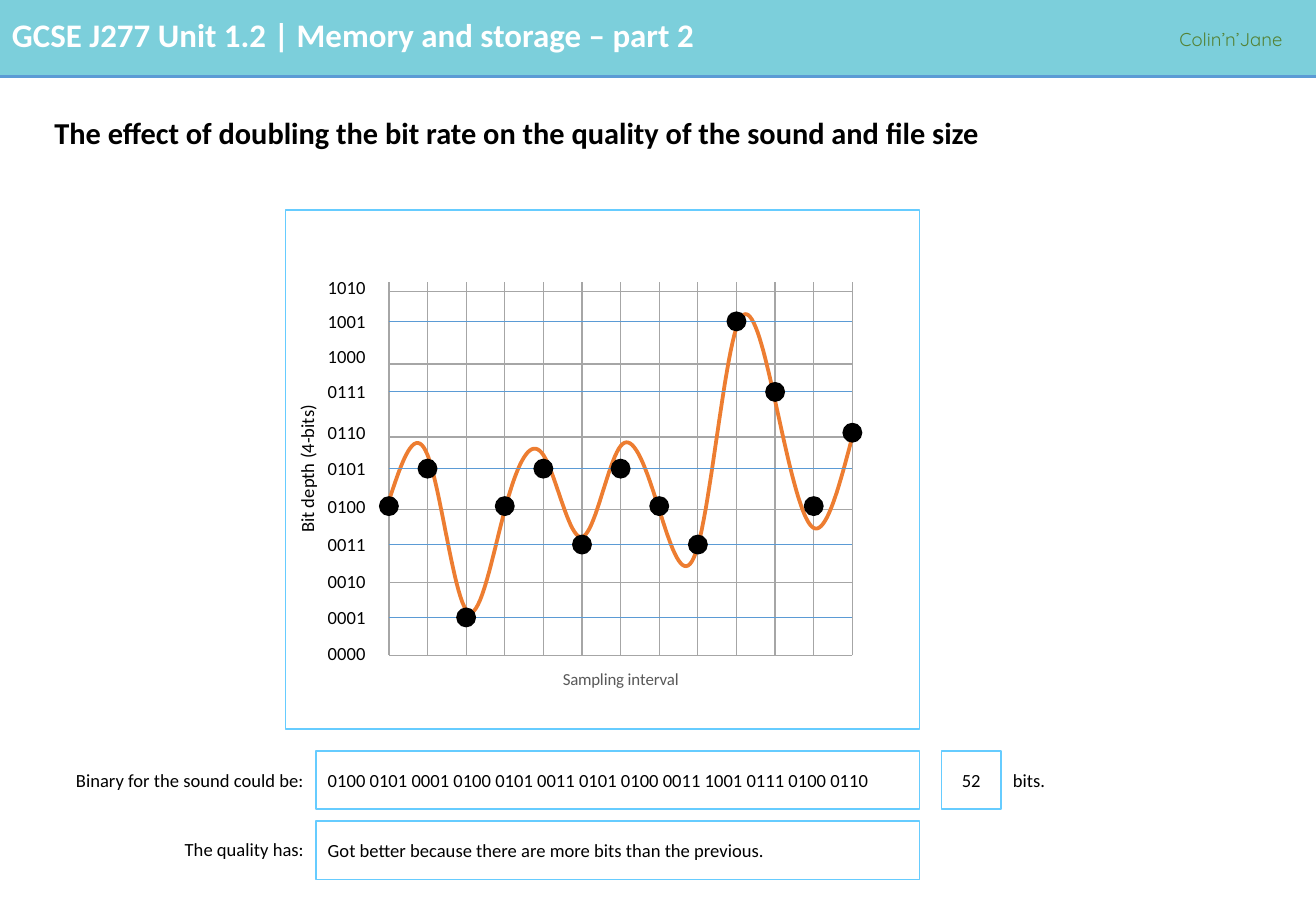
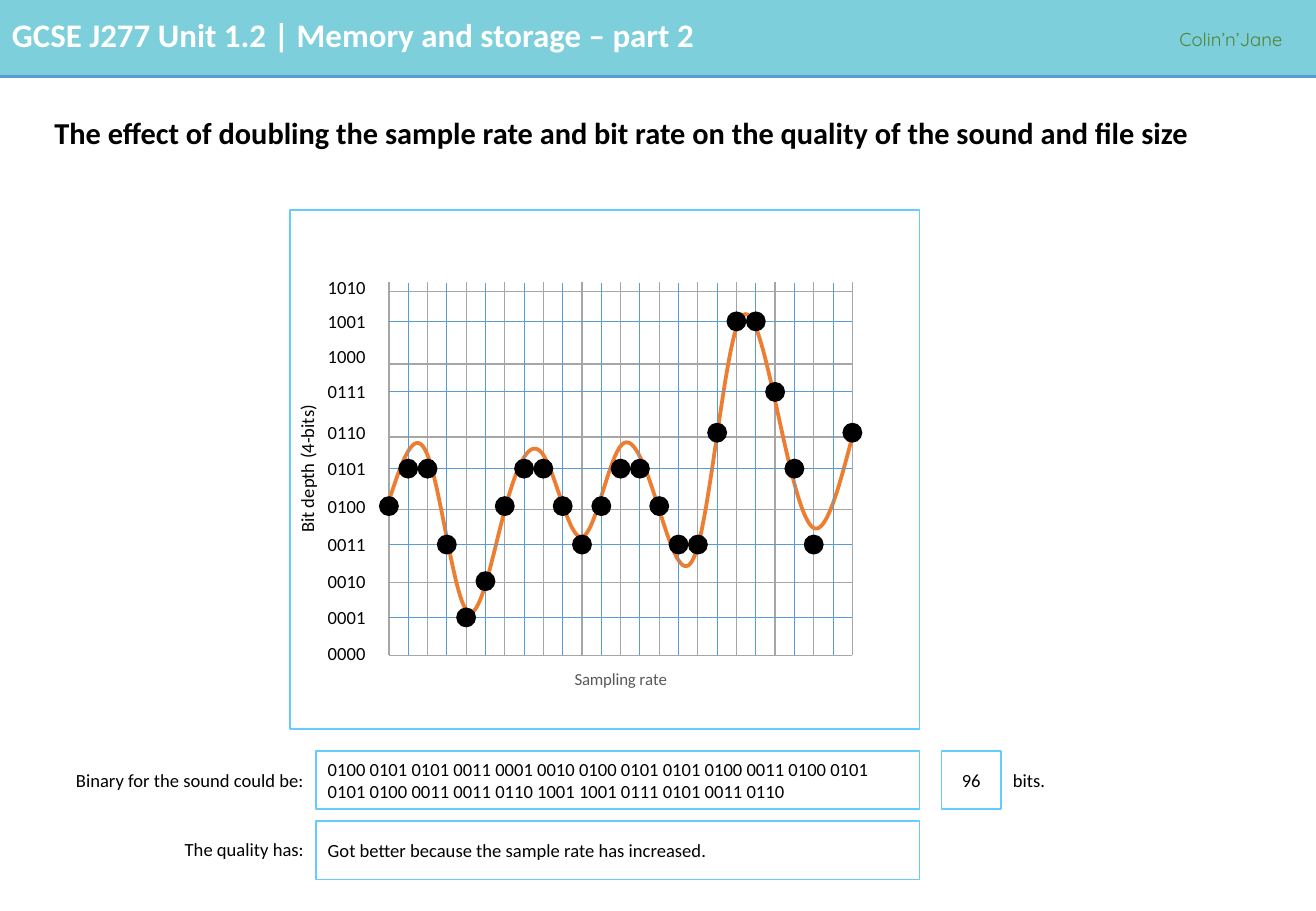
from lxml import etree
from pptx import Presentation
from pptx.chart.data import CategoryChartData
from pptx.dml.color import RGBColor
from pptx.enum import chart as charts, shapes, text
from pptx.oxml import parse_xml
from pptx.oxml.ns import nsdecls, qn
from pptx.util import Pt

COLOURS = {
    "band": "7CCFDB", "rule": "5B9BD5", "frame": "66CCFF", "wave": "ED7D31",
    "grid": "A6A6A6", "axis": "595959", "brand": "548235",
    "black": "000000", "white": "FFFFFF",
}
SLIDE_WIDTH, SLIDE_HEIGHT = 780, 540
PLOT_LEFT, PLOT_WIDTH = 230.5, 274.7
PLOT_TOP, PLOT_BOTTOM = 167.8, 388
# Height on the slide of each sound level, from 0000 up to 1010
LEVELS = [387.7, 366, 344.5, 322.8, 300, 277.8, 256.5, 232.3, 211.3, 190.5, 170.3]
WAVE = [81, 86, 69, 80, 86, 77, 87, 80, 76, 100, 92, 78, 88]
DOT = 10.8
ANSWER_LEFT, ANSWER_RIGHT = 187.2, 545

SOUNDS = [
    dict(
        heading="The effect of doubling the bit rate on the quality of the sound and file size",
        axis="Sampling interval", frame_left=169.2, columns=12, skipped=(),
        binary="0100 0101 0001 0100 0101 0011 0101 0100 0011 1001 0111 0100 0110",
        quality="Got better because there are more bits than the previous.",
    ),
    dict(
        heading="The effect of doubling the sample rate and bit rate on the quality "
                "of the sound and file size",
        axis="Sampling rate", frame_left=172, columns=24, skipped=(23,),
        binary="0100 0101 0101 0011 0001 0010 0100 0101 0101 0100 0011 0100 0101 "
               "0101 0100 0011 0011 0110 1001 1001 0111 0101 0011 0110",
        quality="Got better because the sample rate has increased.",
    ),
]


def rgb(colour):
    return RGBColor.from_string(COLOURS[colour])


def write(shape, words, size=11, colour="black", font="Calibri", bold=False,
          align="LEFT", anchor="TOP", wrap=True, spacing=None, after=None):
    frame = shape.text_frame
    frame.word_wrap = wrap
    frame.vertical_anchor = text.MSO_ANCHOR[anchor]
    paragraph = frame.paragraphs[0]
    paragraph.alignment = text.PP_ALIGN[align]
    if spacing:
        paragraph.line_spacing = spacing
    if after:
        paragraph.space_after = Pt(after)
    run = paragraph.add_run()
    run.text = words
    run.font.name, run.font.size, run.font.bold = font, Pt(size), bold
    run.font.color.rgb = rgb(colour)


def add_label(slide, words, left, top, width, height=20.9, **style):
    label = slide.shapes.add_textbox(Pt(left), Pt(top), Pt(width), Pt(height))
    write(label, words, **style)
    return label


def add_figure(slide, left, top, width, height, kind="RECTANGLE", fill=None, line=None):
    figure = slide.shapes.add_shape(
        shapes.MSO_SHAPE[kind], Pt(left), Pt(top), Pt(width), Pt(height))
    figure.shadow.inherit = False
    if fill:
        figure.fill.solid()
        figure.fill.fore_color.rgb = rgb(fill)
    else:
        figure.fill.background()
    if line:
        figure.line.color.rgb = rgb(line)
        figure.line.width = Pt(1)
    else:
        figure.line.fill.background()
    return figure


def add_rule(slide, x1, y1, x2, y2, width=0.5):
    rule = slide.shapes.add_connector(
        shapes.MSO_CONNECTOR.STRAIGHT, Pt(x1), Pt(y1), Pt(x2), Pt(y2))
    rule.line.color.rgb = rgb("rule")
    rule.line.width = Pt(width)
    etree.SubElement(rule._element.spPr, qn("a:effectLst"))


def add_answer(slide, words, top, left=ANSWER_LEFT, right=ANSWER_RIGHT, align="LEFT"):
    box = add_figure(slide, left, top, right - left, 34.6, line="frame")
    write(box, words, align=align, anchor="MIDDLE")


def add_header(slide, heading):
    add_figure(slide, 0, 0, SLIDE_WIDTH, 45.4, fill="band")
    add_rule(slide, 0, 45.4, SLIDE_WIDTH, 45.4, width=2.25)
    add_label(slide, "GCSE J277 Unit 1.2 | Memory and storage – part 2",
              0, 5, 682.6, 31, size=19.5, colour="white", bold=True)
    add_label(slide, "Colin’n’Jane", 692, 12.2, 88, font="Quicksand",
              colour="brand", wrap=False, spacing=1.07, after=8)
    add_label(slide, heading, 25.2, 59.8, 727.2, 40.3, size=18, bold=True,
              anchor="MIDDLE", spacing=0.9)


def fix_plot_area(chart):
    """Place the plot exactly, start the wave on the axis and fill the chart white."""
    plot_area = chart._chartSpace.chart.plotArea
    for layout in plot_area.findall(qn("c:layout")):
        plot_area.remove(layout)
    places = "".join(f'<c:{tag} val="{value}"/>' for tag, value in [
        ("layoutTarget", "inner"), ("xMode", "edge"), ("yMode", "edge"),
        ("x", 0.107), ("y", 0.117), ("w", 0.865), ("h", 0.761)])
    plot_area.insert(0, parse_xml(
        f'<c:layout {nsdecls("c")}><c:manualLayout>{places}</c:manualLayout></c:layout>'))

    crossing = parse_xml(f'<c:crossBetween {nsdecls("c")} val="midCat"/>')
    chart.value_axis._element.find(qn("c:majorUnit")).addprevious(crossing)
    chart._chartSpace.chart.addnext(parse_xml(
        f'<c:spPr {nsdecls("c", "a")}><a:solidFill><a:srgbClr val="{COLOURS["white"]}"/>'
        '</a:solidFill><a:ln><a:noFill/></a:ln></c:spPr>'))


def add_wave(slide, axis_words):
    data = CategoryChartData()
    data.categories = [str(n) for n in range(1, len(WAVE) + 1)]
    data.add_series("Series 1", WAVE)
    chart = slide.shapes.add_chart(
        charts.XL_CHART_TYPE.LINE, Pt(196.6), Pt(133.2), Pt(317.5), Pt(290.9), data).chart
    chart.has_legend = chart.has_title = False
    chart.font.name, chart.font.size = "Calibri", Pt(10)
    chart.font.color.rgb = rgb("black")
    chart.plots[0].vary_by_categories = False

    wave = chart.plots[0].series[0]
    wave.smooth = True
    wave.format.line.color.rgb = rgb("wave")
    wave.format.line.width = Pt(2.25)
    wave.marker.style = charts.XL_MARKER_STYLE.NONE

    for axis in (chart.category_axis, chart.value_axis):
        axis.visible = False
        axis.has_major_gridlines = True
        axis.major_gridlines.format.line.color.rgb = rgb("grid")
        axis.major_gridlines.format.line.width = Pt(0.75)
    levels = chart.value_axis
    levels.minimum_scale, levels.maximum_scale, levels.major_unit = 64, 105, 8
    levels.tick_labels.number_format = "0.0000"
    levels.tick_labels.number_format_is_linked = False

    title = chart.category_axis.axis_title.text_frame.paragraphs[0]
    run = title.add_run()
    run.text = axis_words
    run.font.name, run.font.size, run.font.bold = "Calibri", Pt(10), False
    run.font.color.rgb = rgb("axis")
    fix_plot_area(chart)


def add_level_scale(slide):
    for level, y in enumerate(LEVELS):
        add_label(slide, f"{level:04b}", ANSWER_LEFT, y - 10.45, 43.2)
    depth = add_label(slide, "Bit depth (4-bits)", 136.8, 267.1, 90.7, wrap=False)
    depth.rotation = 270


def add_samples(slide, samples, columns, skipped):
    """Put one dot per sample, at its column and at the level its bits name."""
    step = PLOT_WIDTH / columns
    used = [column for column in range(columns + 1) if column not in skipped]
    for column, bits in zip(used, samples):
        add_figure(slide, PLOT_LEFT + column * step - DOT / 2,
                   LEVELS[int(bits, 2)] - DOT / 2, DOT, DOT,
                   kind="OVAL", fill="black", line="black")


def add_sound_slide(deck, sound):
    slide = deck.slides.add_slide(deck.slide_layouts[6])
    samples = sound["binary"].split()
    add_header(slide, sound["heading"])
    add_wave(slide, sound["axis"])
    for y in LEVELS[1::2]:
        add_rule(slide, PLOT_LEFT, y, PLOT_LEFT + PLOT_WIDTH, y)
    frame_left = sound["frame_left"]
    add_figure(slide, frame_left, 124.6, ANSWER_RIGHT - frame_left, 307.4, line="frame")

    add_label(slide, "Binary for the sound could be:", 36.7, 452.2, 150.5, align="RIGHT")
    add_answer(slide, sound["binary"], 445)
    add_answer(slide, str(4 * len(samples)), 445, left=558, right=593.3, align="CENTER")
    add_label(slide, "bits.", 593.3, 452.2, 150.5)
    add_label(slide, "The quality has:", 36.7, 493.2, 150.5, align="RIGHT")
    add_answer(slide, sound["quality"], 486.7)

    if sound["columns"] > len(WAVE):
        step = PLOT_WIDTH / sound["columns"]
        for column in range(1, sound["columns"], 2):
            x = PLOT_LEFT + column * step
            add_rule(slide, x, PLOT_BOTTOM, x, PLOT_TOP)
    add_level_scale(slide)
    add_samples(slide, samples, sound["columns"], sound["skipped"])


def main():
    deck = Presentation()
    deck.slide_width, deck.slide_height = Pt(SLIDE_WIDTH), Pt(SLIDE_HEIGHT)
    for sound in SOUNDS:
        add_sound_slide(deck, sound)
    deck.save("out.pptx")


if __name__ == "__main__":
    main()
